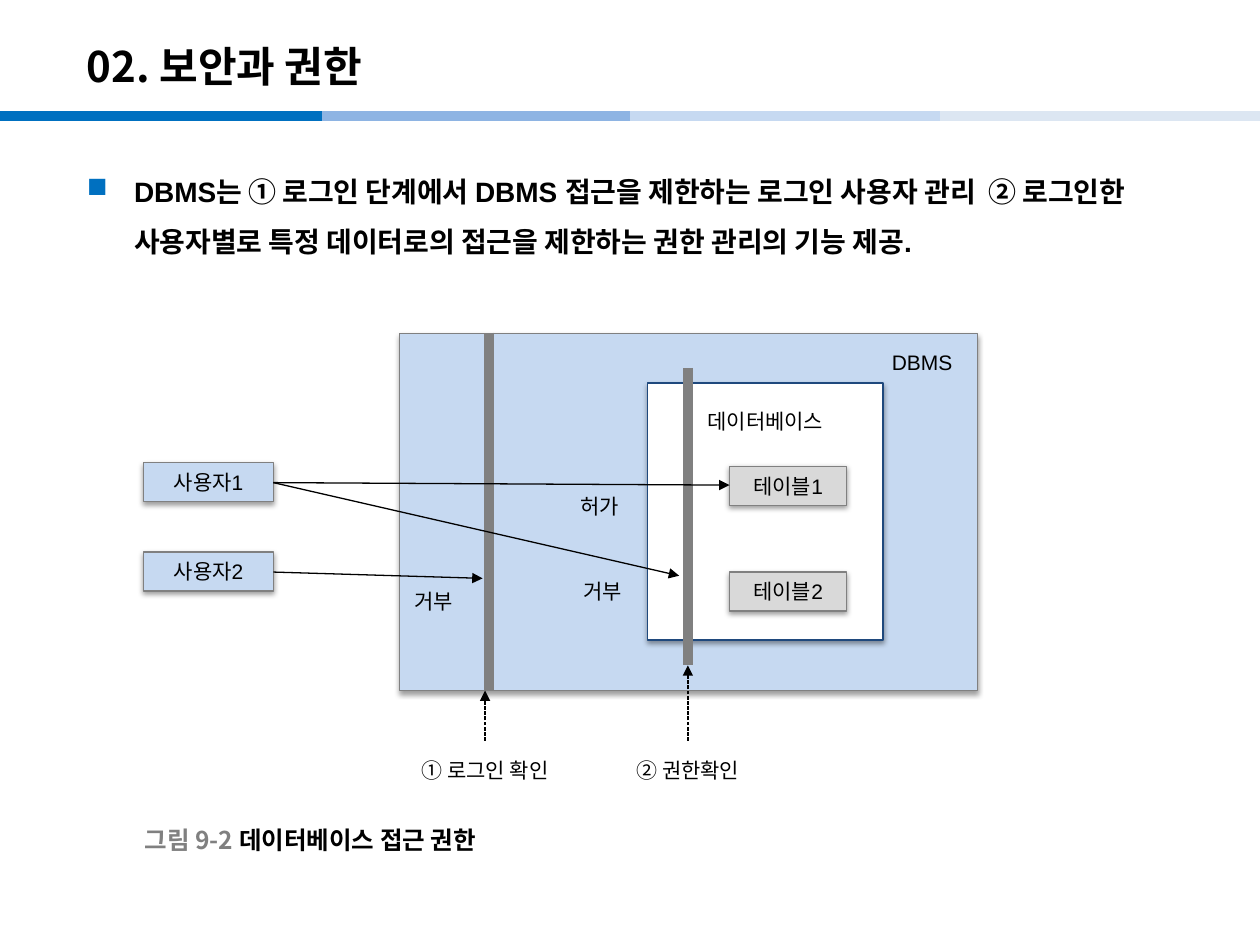
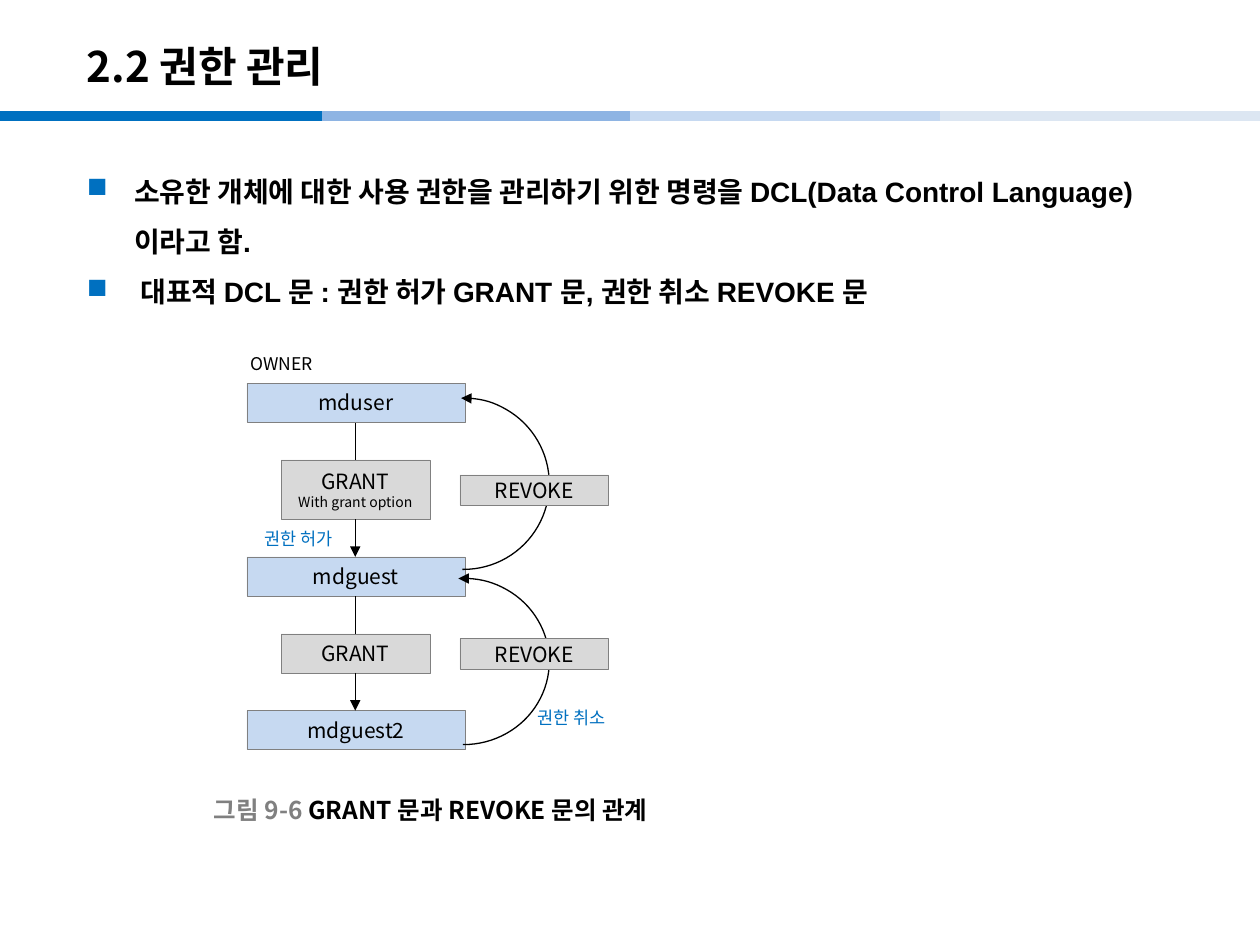
from lxml import etree
from pptx import Presentation
from pptx.dml.color import RGBColor
from pptx.enum import dml, shapes, text
from pptx.oxml.ns import qn
from pptx.util import Pt

BLACK = RGBColor(0x00, 0x00, 0x00)
WHITE = RGBColor(0xFF, 0xFF, 0xFF)
GRAY = RGBColor(0x80, 0x80, 0x80)
SILVER = RGBColor(0xD9, 0xD9, 0xD9)
NAVY = RGBColor(0x1F, 0x49, 0x7D)
BLUE = RGBColor(0x00, 0x70, 0xC0)
SKY = RGBColor(0x8E, 0xB4, 0xE3)
PALE = RGBColor(0xC6, 0xD9, 0xF1)
MIST = RGBColor(0xDC, 0xE6, 0xF2)
NOTO = "Noto Sans CJK KR"
ARIAL = "Arial"
LEFT, MID, RIGHT = text.PP_ALIGN.LEFT, text.PP_ALIGN.CENTER, text.PP_ALIGN.RIGHT
TOP, CENTER = text.MSO_ANCHOR.TOP, text.MSO_ANCHOR.MIDDLE
RECT = shapes.MSO_SHAPE.RECTANGLE


def box(page, at, lines, face=NOTO, size=12, color=BLACK, bold=False,
        align=MID, anchor=CENTER, fill=None, edge=GRAY, width=0.75, shade=False):
    """Add a text box, or a filled rectangle when fill is given."""
    spot = [Pt(n) for n in at]
    if fill is None:
        item = page.shapes.add_textbox(*spot)
    else:
        item = page.shapes.add_shape(RECT, *spot)
        item.shadow.inherit = False
        item.fill.solid()
        item.fill.fore_color.rgb = fill
        item.line.color.rgb = edge
        item.line.width = Pt(width)
    if shade:
        glow = etree.SubElement(
            item._element.spPr.find(qn("a:effectLst")), qn("a:outerShdw"),
            blurRad=str(Pt(3.1)), dist=str(Pt(1.6)), dir="5400000", rotWithShape="0")
        tint = etree.SubElement(glow, qn("a:srgbClr"), val=str(BLACK))
        etree.SubElement(tint, qn("a:alpha"), val="38000")
    frame = item.text_frame
    frame.word_wrap = True
    frame.vertical_anchor = anchor
    frame.text = "\n".join(lines)
    for para in frame.paragraphs:
        para.alignment = align
        font = para.font
        font.name, font.size, font.bold = face, Pt(size), bold
        font.color.rgb = color
        base = para._p.pPr.find(qn("a:defRPr"))
        etree.SubElement(base, qn("a:ea"), typeface=NOTO)
    return item


def link(page, x1, y1, x2, y2, color=BLACK, width=0.75, arrow=False, dash=False):
    """Add a straight line, with an arrowhead at its end if asked."""
    line = page.shapes.add_connector(
        shapes.MSO_CONNECTOR.STRAIGHT, Pt(x1), Pt(y1), Pt(x2), Pt(y2))
    line.line.color.rgb = color
    line.line.width = Pt(width)
    if dash:
        line.line.dash_style = dml.MSO_LINE.SQUARE_DOT
    if arrow:
        etree.SubElement(line.line._get_or_add_ln(), qn("a:tailEnd"), type="triangle")
    etree.SubElement(line._element.spPr, qn("a:effectLst"))


deck = Presentation()
deck.slide_width, deck.slide_height = Pt(720), Pt(540)

# Shared parts: bands, title, bullets and caption
TOPICS = [
    ("02. 보안과 권한",
     ["DBMS는 ① 로그인 단계에서 DBMS 접근을 제한하는 로그인 사용자 관리  ② 로그인한 "
      "사용자별로 특정 데이터로의 접근을 제한하는 권한 관리의 기능 제공."],
     (75.6, 468.7), "그림 9-2 ", "데이터베이스 접근 권한"),
    ("2.2 권한 관리",
     ["소유한 개체에 대한 사용 권한을 관리하기 위한 명령을 DCL(Data Control Language)"
      "이라고 함.",
      " 대표적 DCL 문 : 권한 허가 GRANT 문, 권한 취소 REVOKE 문"],
     (115.2, 451.4), "그림 9-6 ", "GRANT 문과 REVOKE 문의 관계"),
]
BANDS = [(0, BLUE), (184.3, SKY), (360, PALE), (537.1, MIST)]
pages = []
for title, points, spot, mark, name in TOPICS:
    page = deck.slides.add_slide(deck.slide_layouts[6])
    pages.append(page)
    for x, color in BANDS:
        link(page, x, 66.2, min(x + 184.3, 720), 66.2, color, 6)
    box(page, (42.5, 15.8, 595.4, 43.2), [title], size=24, bold=True, align=LEFT)
    body = box(page, (42.5, 86.4, 635, 430), points, ARIAL, 16, bold=True,
               align=LEFT, anchor=TOP)
    for para in body.text_frame.paragraphs:
        para.line_spacing = Pt(28.8)
        props = para._p.pPr
        props.set("marL", str(Pt(27)))
        props.set("indent", str(Pt(-27)))
        tint = etree.Element(qn("a:buClr"))
        etree.SubElement(tint, qn("a:srgbClr"), val=str(BLUE))
        sign = etree.Element(qn("a:buChar"), char="■")
        base = props.find(qn("a:defRPr"))
        base.addprevious(tint)
        base.addprevious(sign)
    label = box(page, (*spot, 340, 22.3), [mark], size=14, bold=True, align=LEFT)
    para = label.text_frame.paragraphs[0]
    para.runs[0].font.color.rgb = GRAY
    para.add_run().text = name

# Slide 1: login and permission checks
page = pages[0]
dbms = box(page, (228.2, 190.8, 330.5, 203.8), ["DBMS"], ARIAL, align=RIGHT,
           anchor=TOP, fill=PALE, shade=True)
dbms.text_frame.margin_top, dbms.text_frame.margin_right = Pt(9), Pt(14.4)
store = box(page, (370.1, 218.9, 134.6, 146.9), ["데이터베이스"], ARIAL, anchor=TOP,
            fill=WHITE, edge=NAVY, shade=True)
store.text_frame.margin_top = Pt(14.4)
for x, top, end in [(279.4, 190.1, 394.6), (393.1, 210.2, 380.2)]:
    link(page, x, top, x, end, GRAY, 6)
for name, x, y, width, fill in [
        ("사용자1", 82.1, 264.2, 74.2, PALE), ("사용자2", 82.1, 315.4, 74.2, PALE),
        ("테이블1", 416.9, 266.4, 67, SILVER), ("테이블2", 416.9, 326.9, 67, SILVER)]:
    box(page, (x, y, width, 22.3), [name], ARIAL, fill=fill, shade=True)
for y1, x2, y2 in [(326.9, 275.8, 330.5), (275.8, 388.1, 329), (275.8, 416.9, 277.2)]:
    link(page, 156.2, y1, x2, y2, arrow=True)
for x, end, left, width, name in [(277.2, 394.6, 225.4, 103.7, "① 로그인 확인"),
                                  (393.1, 380.2, 338.4, 109.4, "② 권한확인")]:
    link(page, x, 423.4, x, end, arrow=True, dash=True)
    box(page, (left, 423.4, width, 33.8), [name], ARIAL)
for x, y, name in [(324.7, 278.6, "허가"), (326.2, 326.9, "거부"), (229.7, 332.6, "거부")]:
    box(page, (x, y, 45, 21.6), [name], align=LEFT, anchor=TOP)

# Slide 2: GRANT chain and REVOKE arcs
page = pages[1]
for y, name in [(218.9, "mduser"), (318.2, "mdguest"), (406.1, "mdguest2")]:
    box(page, (141.1, y, 124.6, 22.3), [name], fill=PALE, width=0.25)
grant = box(page, (160.6, 262.8, 85, 33.8), ["GRANT", "With grant option"],
            fill=SILVER, width=0.25)
grant.text_frame.paragraphs[1].font.size = Pt(8)
box(page, (160.6, 362.2, 85, 22.3), ["GRANT"], fill=SILVER, width=0.25)
for top, end, arrow in [(241.9, 262.8, False), (296.6, 318.2, True),
                        (340.6, 362.2, False), (384.5, 406.1, True)]:
    link(page, 203, top, 203, end, arrow=arrow)
for y, high, start, stop in [(227.5, 97.9, 161.01, 54.49), (330.5, 95, 159.85, 54.35)]:
    arc = page.shapes.add_shape(shapes.MSO_SHAPE.ARC, Pt(216), Pt(y), Pt(97.9), Pt(high))
    arc.adjustments[0], arc.adjustments[1] = start, stop
    arc.shadow.inherit = False
    arc.fill.background()
    arc.line.color.rgb = BLACK
    arc.line.width = Pt(0.75)
    etree.SubElement(arc.line._get_or_add_ln(), qn("a:headEnd"), type="triangle")
for y in (271.4, 365):
    box(page, (262.8, y, 85, 17.3), ["REVOKE"], fill=SILVER, width=0.25)
for x, y, name, color in [(136.1, 198, "OWNER", BLACK), (144, 298.1, "권한 허가", BLUE),
                          (300.2, 400.3, "권한 취소", BLUE)]:
    box(page, (x, y, 65, 19.4), [name], size=10, color=color, align=LEFT, anchor=TOP)

deck.save("out.pptx")
